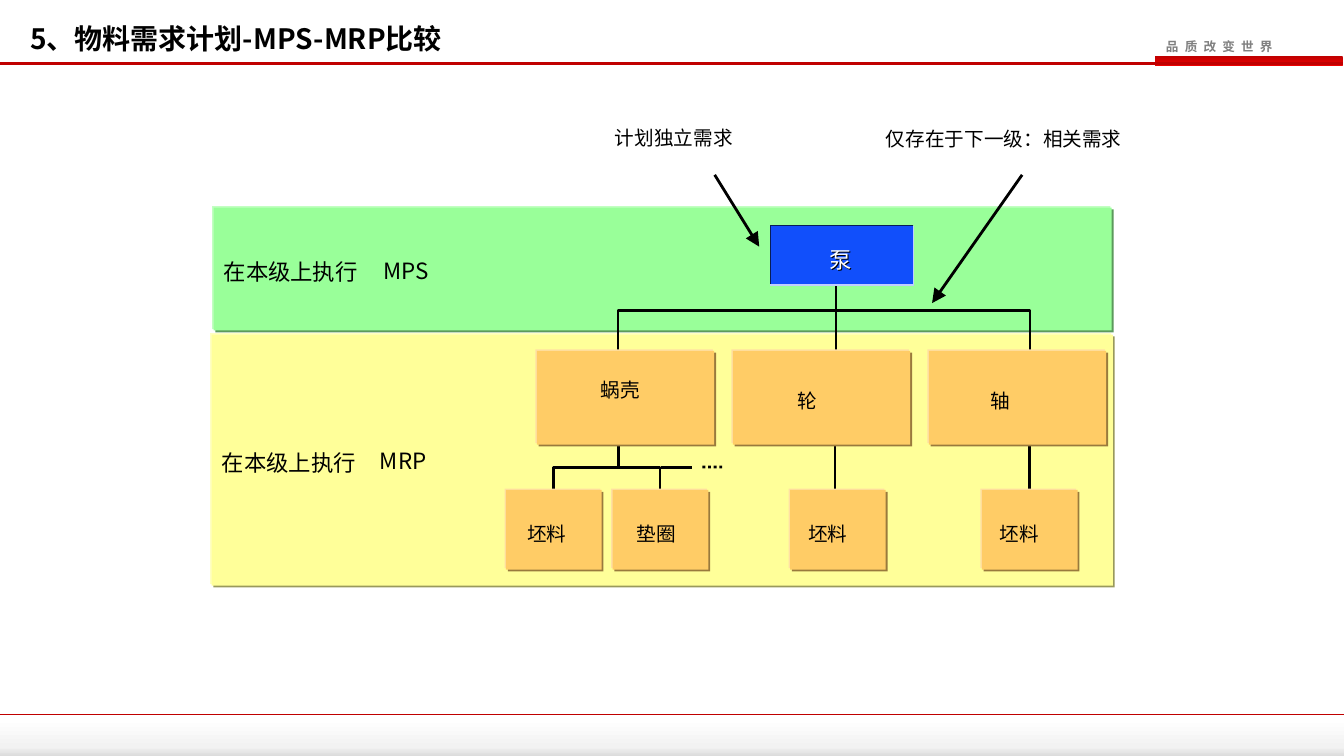
from dataclasses import dataclass
from typing import NamedTuple

from lxml.etree import SubElement
from pptx import Presentation
from pptx.dml.color import RGBColor
from pptx.enum.shapes import MSO_CONNECTOR as Connector, MSO_SHAPE as Preset
from pptx.enum.text import MSO_ANCHOR as Anchor, MSO_AUTO_SIZE as AutoSize, PP_ALIGN as Align
from pptx.oxml.ns import qn
from pptx.util import Pt

FONT = "Noto Sans CJK SC"
BLACK = RGBColor(0x00, 0x00, 0x00)
WHITE = RGBColor(0xFF, 0xFF, 0xFF)
GRAY = RGBColor(0x80, 0x80, 0x80)
RED = RGBColor(0xC0, 0x00, 0x00)
BRIGHT_RED = RGBColor(0xEE, 0x00, 0x00)
PALE_GRAY = RGBColor(0xF2, 0xF2, 0xF2)
LIGHT_GRAY = RGBColor(0xDC, 0xDC, 0xDC)
PUMP_BLUE = RGBColor(0x11, 0x4F, 0xFB)
PUMP_DARK = RGBColor(0x08, 0x1D, 0x58)
PUMP_LIGHT = RGBColor(0xC1, 0xCE, 0xFF)

Point = tuple[float, float]


class Box(NamedTuple):
    left: float
    top: float
    width: float
    height: float


class Bevel(NamedTuple):
    light: RGBColor
    dark: RGBColor
    face: RGBColor


GREEN = Bevel(RGBColor(0xC2, 0xFF, 0xC2), RGBColor(0x5C, 0x99, 0x5C), RGBColor(0x99, 0xFF, 0x99))
YELLOW = Bevel(RGBColor(0xFF, 0xFF, 0xC2), RGBColor(0x99, 0x99, 0x5C), RGBColor(0xFF, 0xFF, 0x99))
ORANGE = Bevel(RGBColor(0xFF, 0xE0, 0xA3), RGBColor(0x99, 0x7A, 0x3D), RGBColor(0xFF, 0xCC, 0x66))


@dataclass
class Label:
    text: str
    box: Box
    size: float = 14
    color: RGBColor = BLACK
    bold: bool = False
    inset: bool = False
    wrap: bool = False
    spacing: float = 0


@dataclass
class Line:
    start: Point
    end: Point
    width: float = 2
    color: RGBColor = BLACK
    arrow: bool = False


@dataclass
class Polyline:
    points: list[Point]
    width: float = 1.88
    color: RGBColor = BLACK


def add_rectangle(slide, box: Box, color: RGBColor):
    shape = slide.shapes.add_shape(Preset.RECTANGLE, *map(Pt, box))
    shape.shadow.inherit = False
    shape.fill.solid()
    shape.fill.fore_color.rgb = color
    shape.line.fill.background()
    return shape


def add_gradient(slide, box: Box, stops: dict[int, RGBColor]) -> None:
    """Draw a rectangle shaded from top to bottom, with stops in percent."""
    shape = add_rectangle(slide, box, WHITE)
    shape.fill.gradient()
    shape.fill.gradient_angle = 270
    stop_list = shape.element.spPr.find(qn("a:gradFill")).find(qn("a:gsLst"))
    for old_stop in list(stop_list):
        stop_list.remove(old_stop)
    for percent, color in stops.items():
        stop = SubElement(stop_list, qn("a:gs"), pos=str(percent * 1000))
        SubElement(stop, qn("a:srgbClr"), val=str(color))


def add_beveled(slide, face: Box, bevel: Bevel) -> None:
    """Stack a light, a dark and a face rectangle, each slightly shifted."""
    for shift, color in ((-1, bevel.light), (1.3, bevel.dark), (0, bevel.face)):
        moved = face._replace(left=face.left + shift, top=face.top + shift)
        add_rectangle(slide, moved, color)


def add_label(slide, label: Label) -> None:
    frame = slide.shapes.add_textbox(*map(Pt, label.box)).text_frame
    frame_format = {
        "word_wrap": label.wrap,
        "auto_size": AutoSize.SHAPE_TO_FIT_TEXT,
        "vertical_anchor": Anchor.TOP,
    }
    if not label.inset:
        sides = ("left", "top", "right", "bottom")
        frame_format |= {f"margin_{side}": Pt(0) for side in sides}
    for name, value in frame_format.items():
        setattr(frame, name, value)
    paragraph = frame.paragraphs[0]
    paragraph.alignment = Align.LEFT
    run = paragraph.add_run()
    run.text = label.text
    font_format = {"name": FONT, "size": Pt(label.size), "bold": label.bold}
    for name, value in font_format.items():
        setattr(run.font, name, value)
    run.font.color.rgb = label.color
    properties = run._r.get_or_add_rPr()
    SubElement(properties, qn("a:ea"), typeface=FONT)
    if label.spacing:
        properties.set("spc", str(round(label.spacing * 100)))


def add_line(slide, line: Line) -> None:
    connector = slide.shapes.add_connector(
        Connector.STRAIGHT, *map(Pt, line.start + line.end))
    connector.line.width = Pt(line.width)
    connector.line.color.rgb = line.color
    if line.arrow:
        SubElement(connector.line._get_or_add_ln(), qn("a:tailEnd"),
                   type="triangle", w="lg", len="lg")
    SubElement(connector._element.spPr, qn("a:effectLst"))


def add_polyline(slide, polyline: Polyline) -> None:
    first, *rest = [(Pt(x), Pt(y)) for x, y in polyline.points]
    builder = slide.shapes.build_freeform(*first)
    builder.add_line_segments(rest, close=False)
    shape = builder.convert_to_shape()
    shape.shadow.inherit = False
    shape.fill.background()
    shape.line.width = Pt(polyline.width)
    shape.line.color.rgb = polyline.color


PUMP = Box(550.1, 161.3, 102.2, 42.2)
PUMP_RIGHT, PUMP_BOTTOM = PUMP.left + PUMP.width, PUMP.top + PUMP.height
PUMP_CORNERS = [(PUMP_RIGHT, PUMP.top), (PUMP.left, PUMP_BOTTOM)]
POLYLINES = [
    Polyline([PUMP_CORNERS[0], (PUMP.left, PUMP.top), PUMP_CORNERS[1]], 0.88, PUMP_DARK),
    Polyline([PUMP_CORNERS[1], (PUMP_RIGHT, PUMP_BOTTOM), PUMP_CORNERS[0]], 0.88, PUMP_LIGHT),
    Polyline([(441.4, 250), (441.4, 221.8), (735.8, 221.8), (735.8, 250)]),
    Polyline([(395.5, 358), (395.5, 334), (471.5, 334), (471.5, 356.5)]),
]
LINES = [
    Line((597.2, 203.8), (597.2, 250.6)),
    Line((441.7, 314.6), (441.7, 333.4)),
    Line((472, 333.7), (494, 333.7)),
    Line((596.5, 314.6), (596.5, 353.5)),
    Line((735.5, 314.6), (735.5, 355.7)),
    Line((510.5, 124.9), (542.3, 176.2), arrow=True),
    Line((730.1, 124.9), (665.8, 216.5), arrow=True),
]
HEADER_LINES = [
    Line((0, 510.5), (960, 510.5), 1, RED),
    Line((0, 45.4), (959, 45.4), 1.5, RED),
]
PART_FACES = [Box(383.5 + 140 * column, 250.6, 126.7, 67) for column in range(3)]
MATERIAL_FACES = [Box(left, 350, 68.4, 56.9) for left in (361.4, 437.6, 564.3, 701.3)]
LABELS = [
    Label("品 质 改 变 世 界", Box(825.8, 24.5, 97.9, 18), 9, GRAY, True, True, spacing=1.2),
    Label("5、物料需求计划-MPS-MRP比较", Box(14.4, 11.5, 342.7, 31.7), 20,
          bold=True, inset=True, wrap=True),
    Label("在本级上执行", Box(159.8, 184.3, 97.2, 19.4), 16),
    Label("MPS", Box(273.6, 183.6, 39.6, 19.4), 16),
    Label("在本级上执行", Box(158.4, 321.1, 97.2, 19.4), 16),
    Label("MRP", Box(271.4, 319.7, 36, 19.4), 16),
    Label("泵", Box(593.3, 176.4, 15.8, 19.4), 16),
    Label("泵", Box(592.6, 175.7, 15.8, 19.4), 16, WHITE),
    Label("蜗壳", Box(429.1, 270, 28.1, 17.3)),
    Label("轮", Box(569.5, 277.9, 14.4, 17.3)),
    Label("轴", Box(707.8, 277.9, 14.4, 17.3)),
    Label("垫圈", Box(455, 373, 28.1, 17.3)),
    Label("计划独立需求", Box(439.2, 90, 85, 17.3)),
    Label("仅存在于下一级：相关需求", Box(632.9, 90.7, 169.9, 17.3)),
]
LABELS += [Label("坯料", Box(left, 373, 28.1, 17.3)) for left in (376.6, 577.4, 714.2)]


def main() -> None:
    presentation = Presentation()
    presentation.slide_width, presentation.slide_height = Pt(960), Pt(540)
    slide = presentation.slides.add_slide(presentation.slide_layouts[6])
    add_gradient(slide, Box(0, 514, 960, 26), {0: WHITE, 75: PALE_GRAY, 100: LIGHT_GRAY})
    add_gradient(slide, Box(825, 40.3, 134, 6.5), {0: RED, 100: BRIGHT_RED})
    add_beveled(slide, Box(152.6, 148.3, 641.5, 87.8), GREEN)
    add_beveled(slide, Box(151.2, 239, 643.7, 179.3), YELLOW)
    add_rectangle(slide, PUMP, PUMP_BLUE)
    for line in HEADER_LINES + LINES:
        add_line(slide, line)
    for polyline in POLYLINES:
        add_polyline(slide, polyline)
    for dot in range(4):
        add_rectangle(slide, Box(501.8 + 4 * dot, 332.6, 2, 2), BLACK)
    for face in PART_FACES + MATERIAL_FACES:
        add_beveled(slide, face, ORANGE)
    for label in LABELS:
        add_label(slide, label)
    presentation.save("out.pptx")


if __name__ == "__main__":
    main()
